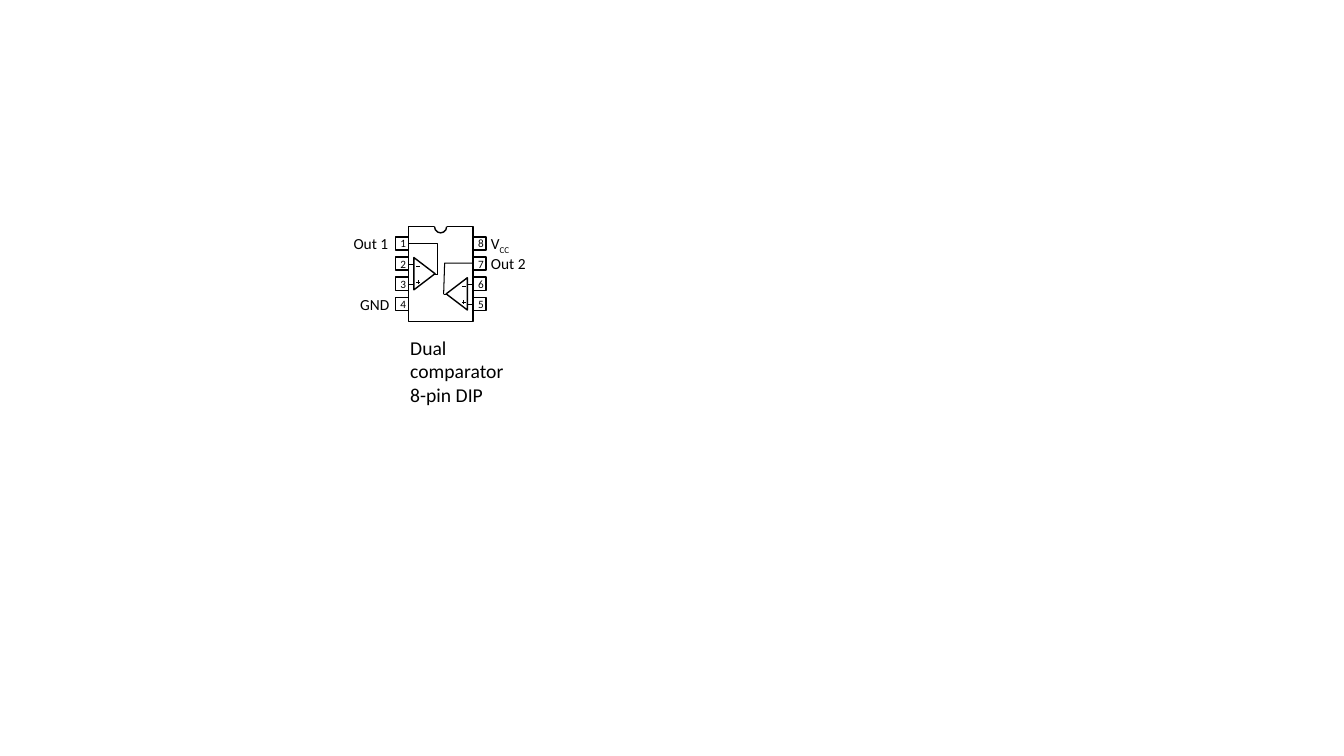
"""Draw the pinout of a dual comparator in an 8-pin package."""
from lxml.etree import SubElement
from pptx import Presentation
from pptx.dml.color import RGBColor
from pptx.enum.shapes import MSO_CONNECTOR, MSO_SHAPE
from pptx.enum.text import MSO_AUTO_SIZE, PP_ALIGN
from pptx.oxml.ns import qn
from pptx.util import Pt

BLACK = RGBColor(0, 0, 0)
WHITE = RGBColor(255, 255, 255)
EMU_PER_PX = 9144
FONT = "Calibri"
OUTLINE = 1
WIRE = 0.75
ROW_PITCH = 20


class Drawing:
    """Holds the style, the slide and the group being drawn."""

    def __init__(self, slide):
        self.slide = slide
        self.shapes = slide.shapes

    def start_group(self):
        self.shapes = self.slide.shapes.add_group_shape().shapes

    def end_group(self):
        self.shapes = self.slide.shapes

    def px(self, *lengths):
        return [length * EMU_PER_PX for length in lengths]

    def paint(self, shape, fill, width):
        shape.shadow.inherit = False
        if fill is None:
            shape.fill.background()
        else:
            shape.fill.solid()
            shape.fill.fore_color.rgb = fill
        if width is None:
            shape.line.fill.background()
        else:
            shape.line.color.rgb = BLACK
            shape.line.width = Pt(width)

    def shape(self, kind, box, fill=None, width=OUTLINE, rotation=0):
        shape = self.shapes.add_shape(kind, *self.px(*box))
        shape.rotation = rotation
        self.paint(shape, fill, width)
        return shape

    def line(self, *ends):
        connector = self.shapes.add_connector(MSO_CONNECTOR.STRAIGHT, *self.px(*ends))
        connector.line.color.rgb = BLACK
        connector.line.width = Pt(WIRE)
        SubElement(connector._element.spPr, qn("a:effectLst"))

    def wire(self, points):
        builder = self.shapes.build_freeform(*points[0], scale=EMU_PER_PX)
        builder.add_line_segments(points[1:], close=False)
        self.paint(builder.convert_to_shape(), None, WIRE)

    def text(self, box, lines, size, align=PP_ALIGN.LEFT, subscript=None):
        frame = self.shapes.add_textbox(*self.px(*box)).text_frame
        frame.word_wrap = True
        frame.auto_size = MSO_AUTO_SIZE.SHAPE_TO_FIT_TEXT
        for index, line in enumerate(lines):
            paragraph = frame.add_paragraph() if index else frame.paragraphs[0]
            paragraph.alignment = align
            self.run(paragraph, line, size)
        if subscript:
            run = self.run(paragraph, subscript, size)
            run.font._element.set("baseline", "-25000")

    def run(self, paragraph, text, size):
        run = paragraph.add_run()
        run.text = text
        run.font.name = FONT
        run.font.size = Pt(size)
        run.font.color.rgb = BLACK
        return run

    def comparator(self, triangle, rotation, sign_x, wire, tip_x, inputs):
        left, top = triangle
        minus_y, plus_y = top + 3, top + 19
        self.start_group()
        self.line(sign_x - 2, minus_y, sign_x + 2, minus_y)
        self.line(sign_x, plus_y - 2, sign_x, plus_y + 2)
        self.line(sign_x - 2, plus_y, sign_x + 2, plus_y)
        self.shape(MSO_SHAPE.ISOSCELES_TRIANGLE, (left, top, 32, 21), rotation=rotation)
        self.wire(wire)
        self.line(tip_x, wire[-1][1], *wire[-1])
        for input_y in (top + 1, top + 1 + ROW_PITCH):
            self.line(inputs[0], input_y, inputs[1], input_y)
        self.end_group()


def main():
    presentation = Presentation()
    presentation.slide_width = 1333 * EMU_PER_PX
    presentation.slide_height = 750 * EMU_PER_PX
    drawing = Drawing(presentation.slides.add_slide(presentation.slide_layouts[6]))

    drawing.start_group()
    for row in range(4):
        drawing.shape(MSO_SHAPE.RECTANGLE, (392, 235 + row * ROW_PITCH, 90, 13))
    drawing.shape(MSO_SHAPE.RECTANGLE, (405, 225, 64, 94), WHITE)
    drawing.shape(MSO_SHAPE.RECTANGLE, (431, 219, 12, 11), WHITE, None)
    notch = drawing.shape(MSO_SHAPE.ARC, (431, 219, 12, 12))
    notch.adjustments[0] = 0
    notch.adjustments[1] = 108
    for left, numbers in ((382, "1234"), (459, "8765")):
        for row, number in enumerate(numbers):
            box = (left, 230 + row * ROW_PITCH, 36, 24)
            drawing.text(box, [number], 8, PP_ALIGN.CENTER)
    drawing.end_group()

    drawing.text((397, 328, 125, 81), ["Dual", "comparator", "8-pin DIP"], 14)

    drawing.comparator((405, 261), 90, 415, [(406, 242), (434, 242), (434, 272)],
                       431, (406, 411))

    drawing.start_group()
    drawing.text((341, 288, 55, 29), ["GND"], 11, PP_ALIGN.RIGHT)
    drawing.text((336, 227, 59, 29), ["Out 1"], 11, PP_ALIGN.RIGHT)
    drawing.start_group()
    drawing.text((477, 227, 53, 29), ["V"], 11, subscript="CC")
    drawing.text((477, 247, 59, 29), ["Out 2"], 11)

    drawing.comparator((437, 281), 270, 460, [(468, 261), (441, 261), (440, 292)],
                       443, (469, 464))

    presentation.save("out.pptx")


if __name__ == "__main__":
    main()
